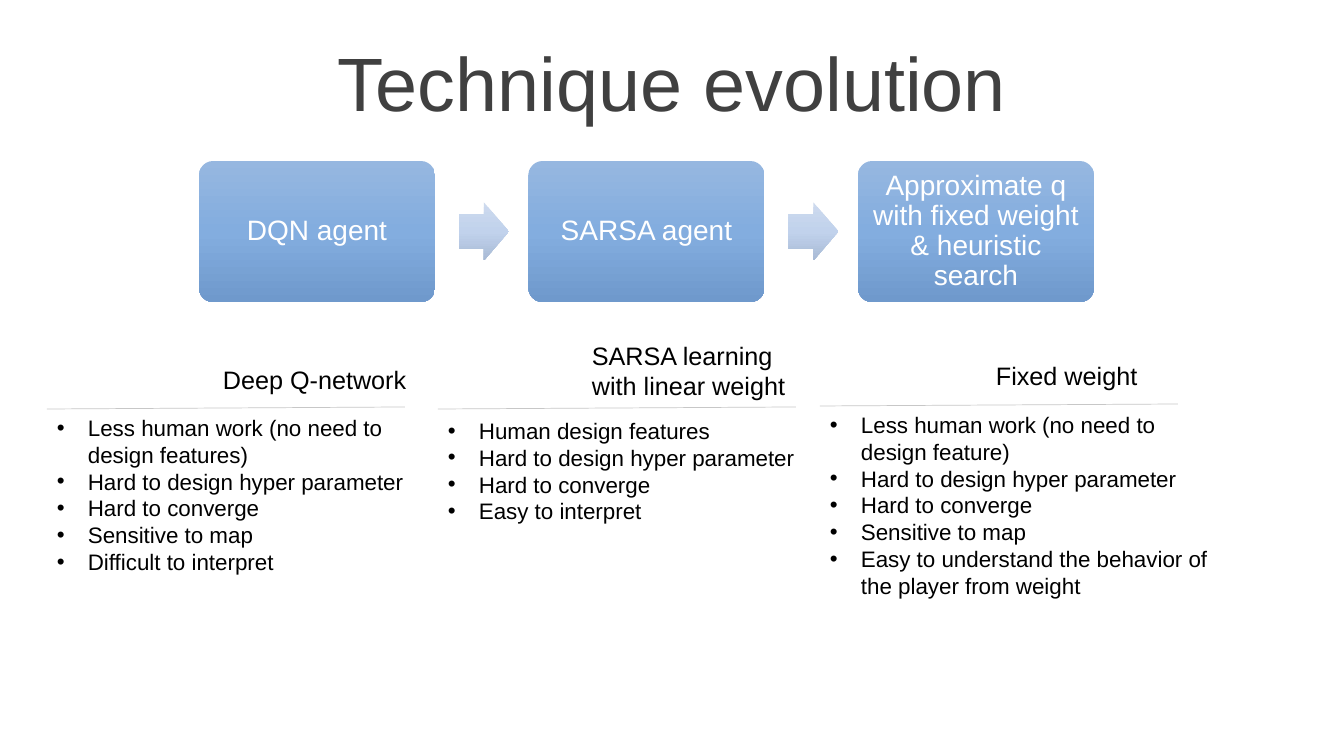
from copy import deepcopy
from dataclasses import dataclass

from pptx import Presentation
from pptx.dml.color import RGBColor as RGB
from pptx.enum.shapes import MSO_CONNECTOR as LINE, MSO_SHAPE as SHAPE
from pptx.enum.text import MSO_ANCHOR as ANCHOR, PP_ALIGN as ALIGN
from pptx.oxml.ns import qn
from pptx.util import Emu, Pt
from lxml.etree import SubElement as Sub

SCALE = 914400 / 100.8


@dataclass(frozen=True)
class Theme:
    font: str = "Arial"
    title: str = "404040"
    ink: str = "000000"
    white: str = "FFFFFF"
    rule: str = "C7C7C7"
    box: tuple = ("96B7E0", "83ADDF", "6F99CC")
    arrow: tuple = ("CDDAEE", "C1D2EC", "A8BAD5")
    big: int = 54
    step: int = 20
    head: int = 18
    body: int = 16


T = Theme()

STEPS = ["DQN agent", "SARSA agent",
         "Approximate q with fixed weight & heuristic search"]

# Column box (left, top of rule), heading box relative to it, list offset, texts
COLUMNS = [
    ((47, 409), (166, -50, 206, 40), 0, ["Deep Q-network"],
     ["Less human work (no need to design features)",
      "Hard to design hyper parameter", "Hard to converge",
      "Sensitive to map", "Difficult to interpret"]),
    ((438, 409), (144, -74, 216, 72), 3, ["SARSA learning", "with linear weight"],
     ["Human design features", "Hard to design hyper parameter",
      "Hard to converge", "Easy to interpret"]),
    ((820, 406), (166, -51, 163, 40), 0, ["Fixed weight"],
     ["Less human work (no need to design feature)",
      "Hard to design hyper parameter", "Hard to converge", "Sensitive to map",
      "Easy to understand the behavior of the player from weight"]),
]


def px(*nums):
    return [Emu(round(n * SCALE)) for n in nums]


def write(shape, lines, size, color=T.ink, align=ALIGN.LEFT, anchor=ANCHOR.TOP,
          wrap=True, bullet=False, inset=None, before=None, leading=None):
    frame = shape.text_frame
    frame.word_wrap = wrap
    frame.vertical_anchor = anchor
    if inset is not None:
        edge, = px(inset)
        frame.margin_left = frame.margin_right = edge
        frame.margin_top = frame.margin_bottom = edge
    for i, line in enumerate(lines):
        para = frame.add_paragraph() if i else frame.paragraphs[0]
        para.alignment = align
        if before:
            para.space_before = Pt(before)
        if leading:
            para.line_spacing = leading
        run = para.add_run()
        run.text = line
        run.font.name, run.font.size = T.font, Pt(size)
        run.font.color.rgb = RGB.from_string(color)
        if bullet:
            props = para._p.get_or_add_pPr()
            hang, = px(31)
            props.set("marL", str(hang))
            props.set("indent", str(-hang))
            Sub(props, qn("a:buFont")).set("typeface", T.font)
            Sub(props, qn("a:buChar")).set("char", "•")


def block(slide, kind, box, adjust, colors):
    """Add a borderless shape with a three-stop gradient from top to bottom."""
    shape = slide.shapes.add_shape(kind, *px(*box))
    for i, value in enumerate(adjust):
        shape.adjustments[i] = value
    shape.shadow.inherit = False
    shape.line.fill.background()
    fill = shape.fill
    fill.gradient()
    fill.gradient_angle = 270
    stops = shape._element.spPr.find(".//" + qn("a:gsLst"))
    stops.append(deepcopy(stops[-1]))
    for i, (stop, color) in enumerate(zip(fill.gradient_stops, colors)):
        stop.position = i / 2
        stop.color.rgb = RGB.from_string(color)
    return shape


def title(slide, box):
    write(slide.shapes.add_textbox(*px(*box)), ["Technique evolution"], T.big,
          T.title, ALIGN.CENTER, ANCHOR.MIDDLE, before=10)


def flow(slide, box):
    left, top, width, height = box
    wide, arrow, tall = 236, 50, 58
    pitch = (width - wide) / (len(STEPS) - 1)
    for i, step in enumerate(STEPS):
        x = left + i * pitch
        card = block(slide, SHAPE.ROUNDED_RECTANGLE, (x, top, wide, height),
                     [0.1], T.box)
        write(card, [step], T.step, T.white, ALIGN.CENTER, ANCHOR.MIDDLE,
              inset=8, leading=0.9)
        if i < len(STEPS) - 1:
            block(slide, SHAPE.RIGHT_ARROW,
                  (x + wide + 24, top + (height - tall) / 2, arrow, tall),
                  [0.6, 0.5], T.arrow)


def column(slide, box, head, drop, name, points):
    left, top = box
    dx, dy, wide, tall = head
    # Heading
    label = slide.shapes.add_textbox(*px(left + dx, top + dy, wide, tall))
    write(label, name, T.head, wrap=False)
    # Slightly rising rule
    rule = slide.shapes.add_connector(LINE.STRAIGHT,
                                      *px(left, top, left + 358, top - 2))
    rule.line.color.rgb = RGB.from_string(T.rule)
    rule.line.width = Pt(0.5)
    Sub(rule._element.spPr, qn("a:effectLst"))
    # Bullet list
    text = slide.shapes.add_textbox(*px(left, top + drop, 415, 173))
    write(text, points, T.body, bullet=True)


def main():
    deck = Presentation()
    deck.slide_width, deck.slide_height = px(1344, 756)
    slide = deck.slides.add_slide(deck.slide_layouts[6])
    title(slide, (0, 37, 1344, 88))
    flow(slide, (199, 161, 895, 141))
    for col in COLUMNS:
        column(slide, *col)
    deck.save("out.pptx")


if __name__ == "__main__":
    main()
